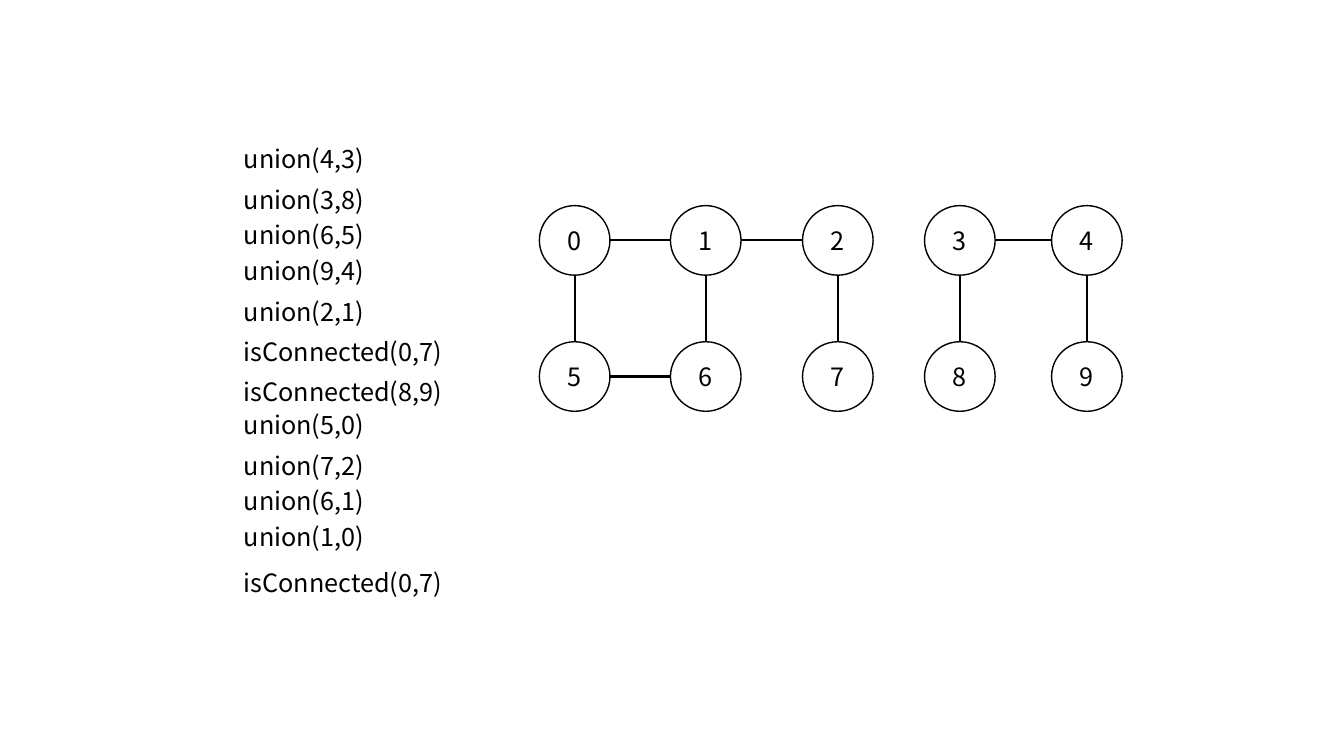
from pptx import Presentation
from pptx.dml.color import RGBColor
from pptx.enum.shapes import MSO_CONNECTOR, MSO_SHAPE
from pptx.enum.text import MSO_ANCHOR, MSO_AUTO_SIZE, PP_ALIGN
from pptx.oxml.ns import qn
from pptx.util import Emu, Pt
from lxml import etree

CIRCLE = MSO_SHAPE.FLOWCHART_CONNECTOR
STRAIGHT = MSO_CONNECTOR.STRAIGHT
MIDDLE = MSO_ANCHOR.MIDDLE
CENTER = PP_ALIGN.CENTER
GROW = MSO_AUTO_SIZE.SHAPE_TO_FIT_TEXT

FONT = "Noto Sans CJK SC"
BLACK, WHITE = "000000", "FFFFFF"

# Commands with their distance from the top of the list
COMMANDS = [
    ("union(4,3)", 0), ("union(3,8)", 41), ("union(6,5)", 76),
    ("union(9,4)", 111), ("union(2,1)", 152), ("isConnected(0,7)", 192),
    ("isConnected(8,9)", 231), ("union(5,0)", 264), ("union(7,2)", 305),
    ("union(6,1)", 340), ("union(1,0)", 375), ("isConnected(0,7)", 421),
]
UNION_WIDTH, QUERY_WIDTH, COMMAND_HEIGHT = 153, 238, 40

NODE_WIDTH, NODE_HEIGHT = 70, 69
COLUMN_OFFSETS = [0, 130, 261, 382, 508]
ROW_STEP = 135
EDGES = [(3, 4), (3, 8), (5, 6), (4, 9), (1, 2), (0, 5), (2, 7), (1, 6), (0, 1)]


def px(length):
    """Turn hundredths of an inch into EMU."""
    return Emu(length * 9144)


def color(hex_string):
    return RGBColor.from_string(hex_string)


def write(frame, text):
    frame.text = text
    font = frame.paragraphs[0].runs[0].font
    font.name = FONT
    font.size = Pt(18)
    font.color.rgb = color(BLACK)


def add_commands(slide, left, top):
    for command, offset in COMMANDS:
        width = UNION_WIDTH if command.startswith("union") else QUERY_WIDTH
        box = slide.shapes.add_textbox(
            px(left), px(top + offset), px(width), px(COMMAND_HEIGHT))
        box.text_frame.word_wrap = True
        box.text_frame.auto_size = GROW
        write(box.text_frame, command)


def add_node(slide, number, left, top):
    node = slide.shapes.add_shape(
        CIRCLE, px(left), px(top), px(NODE_WIDTH), px(NODE_HEIGHT))
    node.shadow.inherit = False
    node.fill.solid()
    node.fill.fore_color.rgb = color(WHITE)
    node.line.color.rgb = color(BLACK)
    node.line.width = Pt(1)
    write(node.text_frame, str(number))
    node.text_frame.vertical_anchor = MIDDLE
    node.text_frame.paragraphs[0].alignment = CENTER
    return node


def add_edge(slide, first, second):
    """Join two nodes of one row side to side, or of one column top to bottom."""
    if first.top == second.top:
        y = first.top + first.height // 2
        ends = first.left + first.width, y, second.left, y
    else:
        x = first.left + first.width // 2
        ends = x, first.top + first.height, x, second.top
    edge = slide.shapes.add_connector(STRAIGHT, *ends)
    edge.line.color.rgb = color(BLACK)
    edge.line.width = Pt(1.5)
    etree.SubElement(edge._element.spPr, qn("a:effectLst"))


def add_graph(slide, left, top):
    columns = len(COLUMN_OFFSETS)
    nodes = [
        add_node(slide, number, left + COLUMN_OFFSETS[number % columns],
                 top + number // columns * ROW_STEP)
        for number in range(2 * columns)
    ]
    for first, second in EDGES:
        add_edge(slide, nodes[first], nodes[second])


def main():
    presentation = Presentation()
    presentation.slide_width, presentation.slide_height = px(1333), px(750)
    slide = presentation.slides.add_slide(presentation.slide_layouts[6])
    add_graph(slide, 535, 204)
    add_commands(slide, 232, 137)
    presentation.save("out.pptx")


if __name__ == "__main__":
    main()
